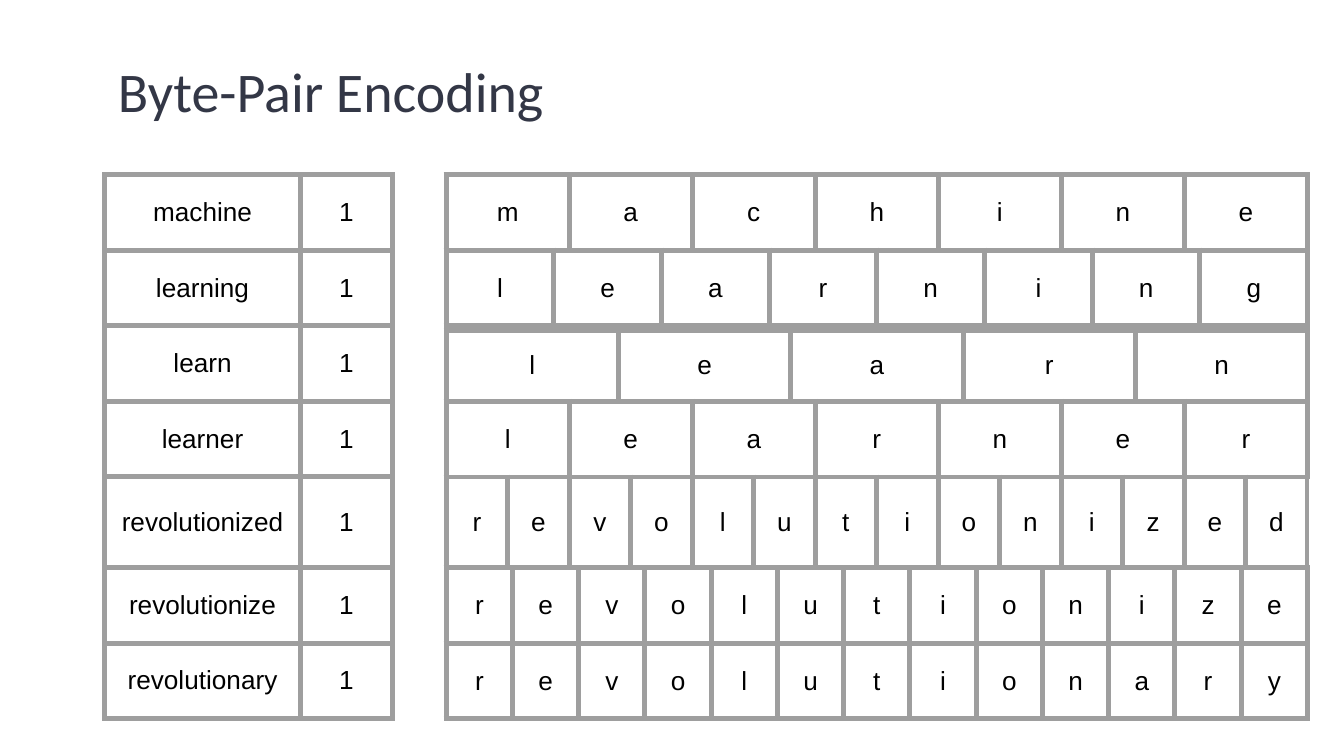
from dataclasses import dataclass

from lxml.etree import SubElement
from pptx import Presentation as new_presentation
from pptx.dml.color import RGBColor
from pptx.enum.text import MSO_ANCHOR as Anchor, PP_ALIGN as Align
from pptx.oxml.ns import qn
from pptx.util import Inches, Pt

# The slide is measured in hundredths of its width and height
SLIDE_WIDTH, SLIDE_HEIGHT = Inches(10), Inches(5.625)
WORDS_LEFT, LETTERS_LEFT = 7.8, 33.2
TABLES_TOP = 23.1
WORD_COLUMNS = [14.55, 6.85]
LETTERS_WIDTH = 64.1
PADDING = Inches(0.1)
BORDER_COLOR, TEXT_COLOR, TITLE_COLOR = "9E9E9E", "000000", "333746"
BORDER_WIDTH = Pt(3)


@dataclass
class Word:
    text: str
    count: int = 1
    height: float = 10
    letters_inset: float = 0  # extra space above the row of letters


WORDS = [
    Word("machine"),
    Word("learning"),
    Word("learn", letters_inset=0.6),
    Word("learner"),
    Word("revolutionized", height=12),
    Word("revolutionize"),
    Word("revolutionary"),
]


def across(share: float) -> int:
    return round(SLIDE_WIDTH * share / 100)


def down(share: float) -> int:
    return round(SLIDE_HEIGHT * share / 100)


def style_run(run, font_name: str, size: float, color: str) -> None:
    run.font.name = font_name
    run.font.size = Pt(size)
    run.font.color.rgb = RGBColor.from_string(color)


def set_padding(target) -> None:
    target.margin_left = target.margin_right = PADDING
    target.margin_top = target.margin_bottom = PADDING


def add_borders(cell) -> None:
    properties = cell._tc.get_or_add_tcPr()
    for side in ("lnL", "lnR", "lnT", "lnB"):
        line = SubElement(properties, qn(f"a:{side}"), w=str(BORDER_WIDTH))
        fill = SubElement(line, qn("a:solidFill"))
        SubElement(fill, qn("a:srgbClr"), val=BORDER_COLOR)


def fill_cell(cell, text: str) -> None:
    add_borders(cell)
    cell.fill.background()
    set_padding(cell)
    cell.vertical_anchor = Anchor.MIDDLE
    cell.text_frame.text = text
    paragraph = cell.text_frame.paragraphs[0]
    paragraph.alignment = Align.CENTER
    style_run(paragraph.runs[0], "Arial", 14, TEXT_COLOR)


def add_grid(slide, left: float, top: float, widths: list[float],
             heights: list[float], rows: list[list[str]]) -> None:
    frame = slide.shapes.add_table(
        len(heights), len(widths), across(left), down(top),
        across(sum(widths)), down(sum(heights)))
    table = frame.table
    table.first_row = table.horz_banding = False
    for column, width in zip(table.columns, widths):
        column.width = across(width)
    for row, height, texts in zip(table.rows, heights, rows):
        row.height = down(height)
        for cell, text in zip(row.cells, texts):
            fill_cell(cell, text)


def add_title(slide, text: str) -> None:
    box = slide.shapes.add_textbox(
        across(WORDS_LEFT), down(4.4), across(83), down(13.7))
    text_frame = box.text_frame
    text_frame.word_wrap = True
    set_padding(text_frame)
    text_frame.text = text
    paragraph = text_frame.paragraphs[0]
    paragraph.line_spacing = 1.15
    style_run(paragraph.runs[0], "Calibri", 30, TITLE_COLOR)


def main() -> None:
    presentation = new_presentation()
    presentation.slide_width = SLIDE_WIDTH
    presentation.slide_height = SLIDE_HEIGHT
    slide = presentation.slides.add_slide(presentation.slide_layouts[6])

    add_title(slide, "Byte-Pair Encoding")

    # Words with their counts
    add_grid(slide, WORDS_LEFT, TABLES_TOP, WORD_COLUMNS,
             [word.height for word in WORDS],
             [[word.text, str(word.count)] for word in WORDS])

    # Each word split into equally wide letters, level with its count
    top = TABLES_TOP
    for word in WORDS:
        length = len(word.text)
        add_grid(slide, LETTERS_LEFT, top + word.letters_inset,
                 [LETTERS_WIDTH / length] * length,
                 [word.height - word.letters_inset], [list(word.text)])
        top += word.height

    presentation.save("out.pptx")


if __name__ == "__main__":
    main()
